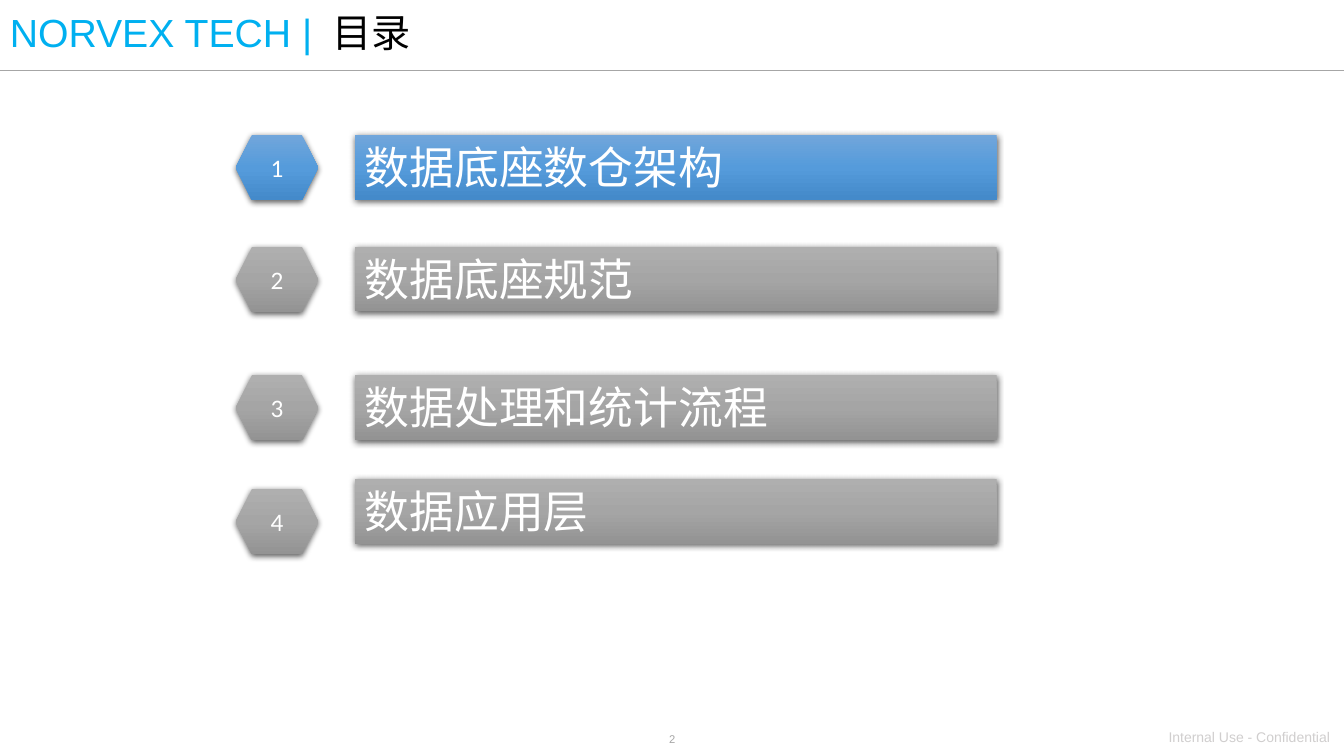
from lxml.etree import SubElement
from pptx import Presentation
from pptx.dml.color import RGBColor
from pptx.enum.shapes import MSO_CONNECTOR, MSO_SHAPE
from pptx.enum.text import MSO_ANCHOR, PP_ALIGN
from pptx.oxml import parse_xml
from pptx.oxml.ns import nsdecls, qn
from pptx.util import Cm, Pt

COLORS = {
    "brand": "00B0F0",
    "title": "000000",
    "label": "FFFFFF",
    "rule": "A6A6A6",
    "notice": "D0CECE",
    "shadow": "000000",
}
GRADIENTS = {
    "active": ("71A6DB", "559BDB", "448ACA"),
    "idle": ("AFAFAF", "A5A5A5", "939393"),
}
CJK = "Noto Sans CJK SC"
AGENDA = [
    ("数据底座数仓架构", "active", 3.4, 3.4),
    ("数据底座规范", "idle", 6.22, 6.22),
    ("数据处理和统计流程", "idle", 9.45, 9.45),
    ("数据应用层", "idle", 12.32, 12.07),
]


def add_text(p, text, size=18, font="Arial", color="title", align=PP_ALIGN.LEFT):
    p.alignment = align
    r = p.add_run()
    r.text = text
    r.font.size = Pt(size)
    r.font.name = font
    r.font.color.rgb = RGBColor.from_string(COLORS[color])
    SubElement(r.font._element, qn("a:ea"), typeface=font)


def add_box(s, left, top, width, height, anchor=MSO_ANCHOR.TOP):
    tf = s.shapes.add_textbox(Cm(left), Cm(top), Cm(width), Cm(height)).text_frame
    tf.word_wrap = True
    tf.vertical_anchor = anchor
    return tf.paragraphs[0]


def add_rule(s, y, width):
    line = s.shapes.add_connector(MSO_CONNECTOR.STRAIGHT, 0, Cm(y), width, Cm(y))
    line.line.color.rgb = RGBColor.from_string(COLORS["rule"])
    line.line.width = Pt(1)
    SubElement(line._element.spPr, qn("a:effectLst"))


def add_raised_shape(s, kind, left, top, width, height, state, anchor):
    sp = s.shapes.add_shape(kind, Cm(left), Cm(top), Cm(width), Cm(height))
    sp.line.fill.background()
    sp.shadow.inherit = False
    stops = "".join(
        f'<a:gs pos="{i * 50000}"><a:srgbClr val="{c}"/></a:gs>'
        for i, c in enumerate(GRADIENTS[state])
    )
    spPr = sp._element.spPr
    spPr.find(qn("a:prstGeom")).addnext(parse_xml(
        f'<a:gradFill {nsdecls("a")} rotWithShape="1"><a:gsLst>{stops}</a:gsLst>'
        '<a:lin ang="5400000" scaled="0"/></a:gradFill>'
    ))
    spPr.find(qn("a:effectLst")).append(parse_xml(
        f'<a:outerShdw {nsdecls("a")} blurRad="{Pt(4.5)}" dist="{Pt(1.5)}" '
        f'dir="5400000" algn="ctr" rotWithShape="0"><a:srgbClr val="{COLORS["shadow"]}">'
        '<a:alpha val="63000"/></a:srgbClr></a:outerShdw>'
    ))
    tf = sp.text_frame
    tf.word_wrap = True
    tf.vertical_anchor = anchor
    return tf.paragraphs[0]


def add_title(s, brand, title):
    p = add_box(s, 0, 0, 29.21, 1.75, MSO_ANCHOR.MIDDLE)
    p.line_spacing = 0.9
    add_text(p, brand + "\t", size=28, color="brand")
    add_text(p, title, size=28, font=CJK)
    tabs = SubElement(p._p.get_or_add_pPr(), qn("a:tabLst"))
    SubElement(tabs, qn("a:tab"), pos=str(Cm(8.13)), algn="l")


def add_agenda_item(s, number, text, state, badge_top, bar_top):
    p = add_raised_shape(s, MSO_SHAPE.HEXAGON, 5.94, badge_top, 2.08, 1.65,
                         state, MSO_ANCHOR.MIDDLE)
    add_text(p, str(number), font="Calibri", color="label", align=PP_ALIGN.CENTER)
    p = add_raised_shape(s, MSO_SHAPE.RECTANGLE, 8.94, bar_top, 16.18, 1.63,
                         state, MSO_ANCHOR.TOP)
    add_text(p, text, size=32, font=CJK, color="label")


def main():
    prs = Presentation()
    prs.slide_width, prs.slide_height = Cm(33.87), Cm(19.05)
    s = prs.slides.add_slide(prs.slide_layouts[6])
    add_rule(s, 1.78, prs.slide_width)
    add_text(add_box(s, 14.71, 18.34, 4.47, 0.61), "2", size=8, color="rule",
             align=PP_ALIGN.CENTER)
    add_text(add_box(s, 29.2, 18.24, 4.67, 0.69), "Internal Use - Confidential",
             size=10, color="notice")
    add_title(s, "NORVEX TECH |", "目录")
    for number, item in enumerate(AGENDA, 1):
        add_agenda_item(s, number, *item)
    prs.save("out.pptx")


if __name__ == "__main__":
    main()
